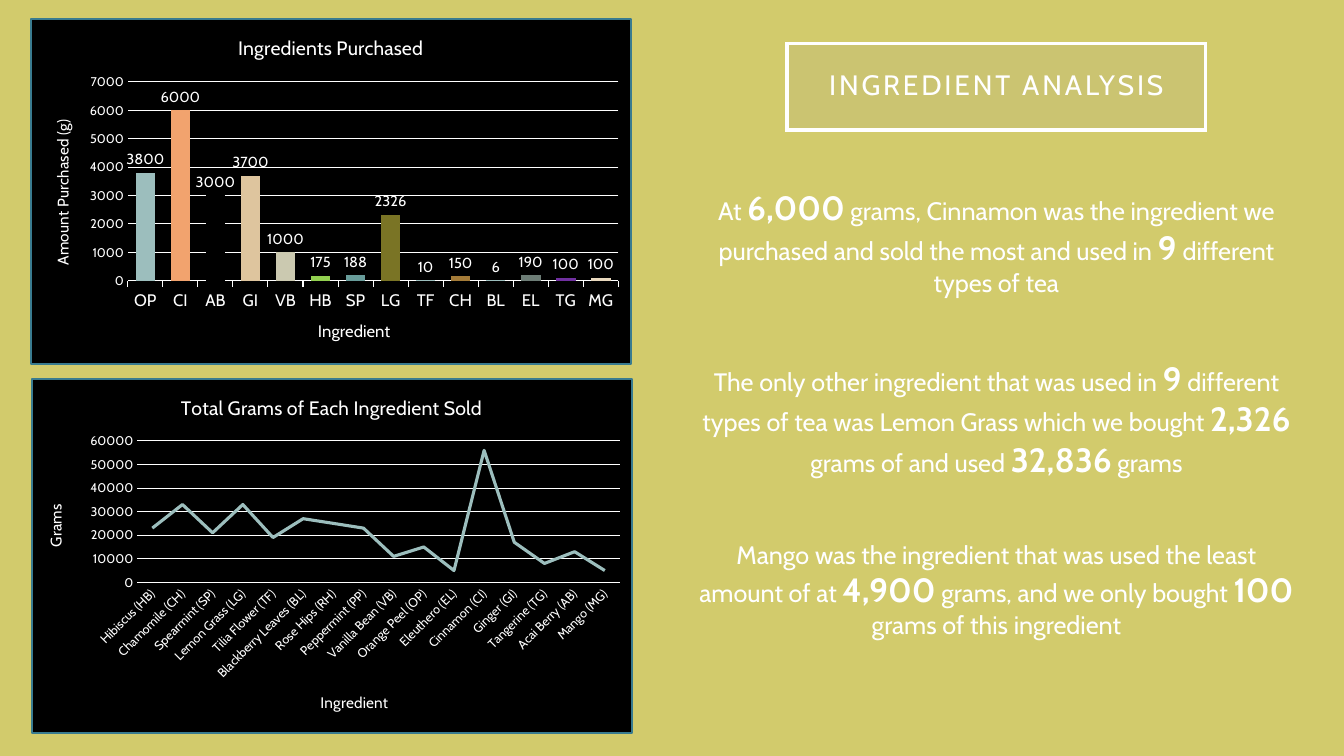
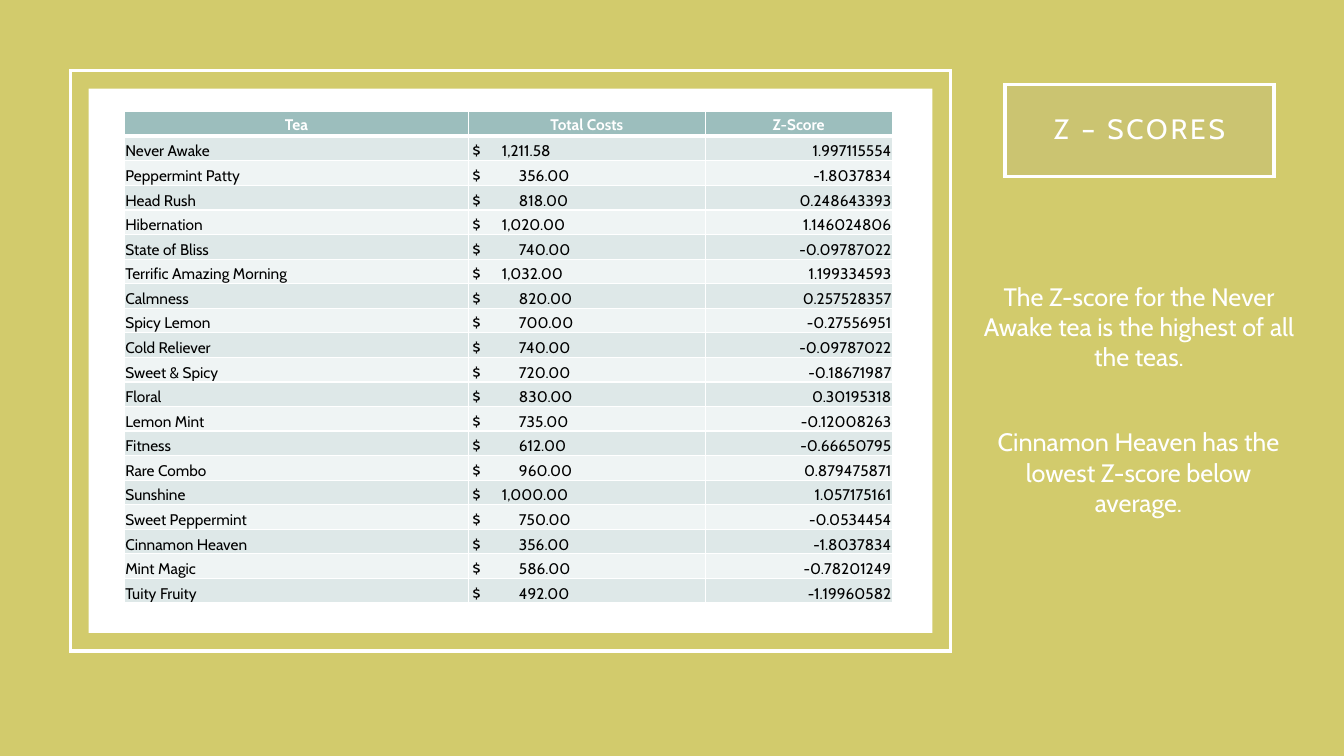
from typing import NamedTuple

from pptx import Presentation
from pptx.chart.data import CategoryChartData
from pptx.dml.color import RGBColor
from pptx.enum.chart import XL_CHART_TYPE as ChartType, XL_LABEL_POSITION as LabelPos, XL_TICK_MARK as Tick
from pptx.enum.shapes import MSO_SHAPE as Preset
from pptx.enum.text import MSO_ANCHOR as Anchor, MSO_AUTO_SIZE as AutoSize, PP_ALIGN as Align
from pptx.oxml import parse_xml
from pptx.oxml.ns import nsdecls, qn
from pptx.util import Emu, Inches, Pt

FONT = "Cabin"
WHITE = RGBColor(0xFF, 0xFF, 0xFF)
BLACK = RGBColor(0x00, 0x00, 0x00)
OLIVE = RGBColor(0xD2, 0xCB, 0x6C)
STONE = RGBColor(0xA7, 0xA0, 0x8E)
TEAL = RGBColor(0x9C, 0xBE, 0xBD)
CHART_EDGE = RGBColor(0x39, 0x7B, 0x8F)
BANDS = (RGBColor(0xDE, 0xE8, 0xE8), RGBColor(0xEF, 0xF4, 0xF4))
BAR_COLOURS = {
    1: RGBColor(0xF2, 0xA3, 0x6E), 2: BLACK, 3: RGBColor(0xDE, 0xC5, 0x9E),
    4: RGBColor(0xCB, 0xC9, 0xB0), 5: RGBColor(0x92, 0xD0, 0x50), 6: RGBColor(0x68, 0x9C, 0x9A),
    7: RGBColor(0x7A, 0x74, 0x25), 9: RGBColor(0xA4, 0x7B, 0x38), 11: RGBColor(0x6D, 0x7D, 0x76),
    12: RGBColor(0x70, 0x30, 0xA0), 13: RGBColor(0xE9, 0xD9, 0xBE),
}
SLIDE_W, SLIDE_H = Inches(13.33), Inches(7.5)
COLUMNS, ROWS = 160, 90
CHART_GRID = 1000

PURCHASED = {
    "OP": 3800, "CI": 6000, "AB": 3000, "GI": 3700, "VB": 1000, "HB": 175, "SP": 188,
    "LG": 2326, "TF": 10, "CH": 150, "BL": 6, "EL": 190, "TG": 100, "MG": 100,
}
SOLD = {
    "Hibiscus (HB)": 23000, "Chamomile (CH)": 33000, "Spearmint (SP)": 21000,
    "Lemon Grass (LG)": 33000, "Tilia Flower (TF)": 19000, "Blackberry Leaves (BL)": 27000,
    "Rose Hips (RH)": 25000, "Peppermint (PP)": 23000, "Vanilla Bean (VB)": 11000,
    "Orange Peel (OP)": 15000, "Eleuthero (EL)": 5000, "Cinnamon (CI)": 56000,
    "Ginger (GI)": 17000, "Tangerine (TG)": 8000, "Acai Berry (AB)": 13000, "Mango (MG)": 5000,
}
FINDINGS = (
    "At *6,000* grams, Cinnamon was the ingredient we purchased and sold the most"
    " and used in *9* different types of tea",
    "The only other ingredient that was used in *9* different types of tea was Lemon Grass"
    " which we bought *2,326* grams of and used *32,836* grams",
    "Mango was the ingredient that was used the least amount of at *4,900* grams,"
    " and we only bought *100* grams of this ingredient",
)
HEADINGS = ("Tea", "Total Costs", "Z-Score")
TEAS = (
    ("Never Awake", "1,211.58", "1.997115554"),
    ("Peppermint Patty", "356.00", "-1.8037834"),
    ("Head Rush", "818.00", "0.248643393"),
    ("Hibernation", "1,020.00", "1.146024806"),
    ("State of Bliss", "740.00", "-0.09787022"),
    ("Terrific Amazing Morning", "1,032.00", "1.199334593"),
    ("Calmness", "820.00", "0.257528357"),
    ("Spicy Lemon", "700.00", "-0.27556951"),
    ("Cold Reliever", "740.00", "-0.09787022"),
    ("Sweet & Spicy", "720.00", "-0.18671987"),
    ("Floral", "830.00", "0.30195318"),
    ("Lemon Mint", "735.00", "-0.12008263"),
    ("Fitness", "612.00", "-0.66650795"),
    ("Rare Combo", "960.00", "0.879475871"),
    ("Sunshine", "1,000.00", "1.057175161"),
    ("Sweet Peppermint", "750.00", "-0.0534454"),
    ("Cinnamon Heaven", "356.00", "-1.8037834"),
    ("Mint Magic", "586.00", "-0.78201249"),
    ("Tuity Fruity", "492.00", "-1.19960582"),
)


class Box(NamedTuple):
    """A region measured in grid columns and rows."""
    left: float
    top: float
    width: float
    height: float

    def emu(self):
        """Return left, top, width and height as lengths."""
        column, row = SLIDE_W / COLUMNS, SLIDE_H / ROWS
        return (Emu(round(self.left * column)), Emu(round(self.top * row)),
                Emu(round(self.width * column)), Emu(round(self.height * row)))

    def within(self, across, down, width, height):
        """Return a box placed from this one's top left corner."""
        return Box(self.left + across, self.top + down, width, height)


def style_font(font, size, colour=WHITE, bold=False):
    """Apply the deck's typeface."""
    font.name, font.size, font.bold = FONT, Pt(size), bold
    font.color.rgb = colour


def outline(line, colour, width):
    """Draw a solid line of the given width in points."""
    line.color.rgb, line.width = colour, Pt(width)


def frame_in_white(shape):
    """Give a shape a white outline with square corners."""
    outline(shape.line, WHITE, 2.5)
    shape.line._get_or_add_ln().append(parse_xml(f'<a:miter {nsdecls("a")} lim="800000"/>'))


def add_titled_slide(deck, text, box, side_inset):
    """Add a slide with its framed, spaced-out title."""
    slide = deck.slides.add_slide(deck.slide_layouts[5])
    title = slide.shapes.title
    title.left, title.top, title.width, title.height = box.emu()
    title.fill.solid()
    title.fill.fore_color.rgb = STONE
    tint = title.fill._xPr.find(qn("a:solidFill"))[0]
    tint.append(parse_xml(f'<a:alpha {nsdecls("a")} val="15000"/>'))
    frame_in_white(title)
    frame = title.text_frame
    frame.text = text
    frame.word_wrap, frame.auto_size = True, AutoSize.NONE
    frame.vertical_anchor = Anchor.MIDDLE
    frame.margin_left = frame.margin_right = Inches(side_inset)
    frame.margin_top = frame.margin_bottom = Inches(0.2)
    line = frame.paragraphs[0]
    line.alignment, line.line_spacing = Align.CENTER, 0.9
    style_font(line.runs[0].font, 20)
    line.runs[0].font._element.set("spc", "200")
    return slide


def add_commentary(slide, box, statements):
    """Add centred statements, with figures between asterisks enlarged."""
    frame = slide.shapes.add_textbox(*box.emu()).text_frame
    frame.word_wrap, frame.auto_size = True, AutoSize.SHAPE_TO_FIT_TEXT
    for index, statement in enumerate(statements):
        paragraph = frame.add_paragraph() if index else frame.paragraphs[0]
        paragraph.alignment = Align.CENTER
        if index:
            paragraph.space_before = Pt(43)
        for part, words in enumerate(statement.split("*")):
            run = paragraph.add_run()
            run.text = words
            is_figure = part % 2 == 1
            style_font(run.font, 24 if is_figure else 18, bold=is_figure)


def set_layout(parent, inner=False, **cells):
    """Fix a chart part on the chart's own grid."""
    for automatic in parent.findall(qn("c:layout")):
        parent.remove(automatic)
    target = '<c:layoutTarget val="inner"/>' if inner else ""
    places = "".join(f'<c:{key} val="{cell / CHART_GRID}"/>' for key, cell in cells.items())
    layout = parse_xml(
        f'<c:layout {nsdecls("c")}><c:manualLayout>{target}<c:xMode val="edge"/>'
        f'<c:yMode val="edge"/>{places}</c:manualLayout></c:layout>')
    parent.insert(0 if parent.find(qn("c:tx")) is None else 1, layout)


def write_chart_title(title, text, size, x, y, turned=False):
    """Write and place a chart title or axis title."""
    title.text_frame.text = text
    style_font(title.text_frame.paragraphs[0].runs[0].font, size)
    if turned:
        body = title.element.xpath(".//a:bodyPr")[0]
        body.set("rot", "-5400000")
        body.set("vert", "horz")
    set_layout(title.element, x=x, y=y)


def add_dark_chart(slide, box, kind, amounts, top, step, category_size, plot_area):
    """Add a black chart with white axes and gridlines."""
    data = CategoryChartData()
    data.categories = list(amounts)
    data.add_series("Series 1", list(amounts.values()))
    chart = slide.shapes.add_chart(kind, *box.emu(), data).chart
    style_font(chart.font, 10)
    chart.has_legend = False
    space = chart.element
    if space.find(qn("c:roundedCorners")) is None:
        space.find(qn("c:date1904")).addnext(
            parse_xml(f'<c:roundedCorners {nsdecls("c")} val="0"/>'))
    space.find(qn("c:chart")).addnext(parse_xml(
        f'<c:spPr {nsdecls("c", "a")}><a:solidFill><a:srgbClr val="{BLACK}"/></a:solidFill>'
        f'<a:ln w="{Pt(1.5)}"><a:solidFill><a:srgbClr val="{CHART_EDGE}"/></a:solidFill></a:ln></c:spPr>'))
    x, y, w, h = plot_area
    set_layout(space.xpath("c:chart/c:plotArea")[0], inner=True, x=x, y=y, w=w, h=h)
    names, scale = chart.category_axis, chart.value_axis
    style_font(names.tick_labels.font, category_size)
    style_font(scale.tick_labels.font, 9)
    outline(names.format.line, WHITE, 0.75)
    scale.format.line.fill.background()
    scale.has_major_gridlines = True
    outline(scale.major_gridlines.format.line, WHITE, 0.75)
    scale.minimum_scale, scale.maximum_scale, scale.major_unit = 0, top, step
    names.major_tick_mark = scale.major_tick_mark = Tick.NONE
    return chart


def add_purchases_chart(slide, box):
    """Add the column chart of ingredients purchased."""
    chart = add_dark_chart(slide, box, ChartType.COLUMN_CLUSTERED, PURCHASED,
                           7000, 1000, 12, (161, 182, 818, 577))
    chart.category_axis.major_tick_mark = Tick.OUTSIDE
    write_chart_title(chart.chart_title, "Ingredients Purchased", 14, 339, 35)
    write_chart_title(chart.category_axis.axis_title, "Ingredient", 12, 473, 865)
    write_chart_title(chart.value_axis.axis_title, "Amount Purchased (g)", 11, 30, 284, True)
    columns = chart.plots[0]
    columns.gap_width, columns.overlap, columns.vary_by_categories = 79, -27, False
    purchases = columns.series[0]
    purchases.format.fill.solid()
    purchases.format.fill.fore_color.rgb = TEAL
    for index, colour in BAR_COLOURS.items():
        fill = purchases.points[index].format.fill
        fill.solid()
        fill.fore_color.rgb = colour
    labels = purchases.data_labels
    labels.show_value, labels.position = True, LabelPos.OUTSIDE_END
    style_font(labels.font, 10.5)


def add_sales_chart(slide, box):
    """Add the line chart of grams sold."""
    chart = add_dark_chart(slide, box, ChartType.LINE, SOLD,
                           60000, 10000, 9, (175, 175, 805, 400))
    write_chart_title(chart.chart_title, "Total Grams of Each Ingredient Sold", 14, 242, 34)
    write_chart_title(chart.category_axis.axis_title, "Ingredient", 11, 476, 876)
    write_chart_title(chart.value_axis.axis_title, "Grams", 11, 17, 345, True)
    chart.element.xpath("c:chart/c:plotArea/c:catAx/c:txPr/a:bodyPr")[0].set("rot", "-2700000")
    chart.plots[0].vary_by_categories = False
    sales = chart.plots[0].series[0]
    sales.smooth = False
    outline(sales.format.line, TEAL, 2.25)


def add_panel(slide, box):
    """Add a white panel inside a white frame."""
    frame = slide.shapes.add_shape(Preset.RECTANGLE, *box.emu())
    inner = box.within(2.16, 2.16, box.width - 4.32, box.height - 4.32)
    panel = slide.shapes.add_shape(Preset.RECTANGLE, *inner.emu())
    frame.shadow.inherit = panel.shadow.inherit = False
    frame.fill.background()
    frame_in_white(frame)
    panel.fill.solid()
    panel.fill.fore_color.rgb = WHITE
    panel.line.fill.background()


def fill_cell(cell, text, colour, fill, alignment, anchor, bottom_line):
    """Write one table cell with its fill and white borders."""
    cell.fill.solid()
    cell.fill.fore_color.rgb = fill
    cell.margin_left = cell.margin_top = cell.margin_right = Inches(0.01)
    cell.margin_bottom = 0
    cell.vertical_anchor = anchor
    widths = {"lnL": 1, "lnR": 1, "lnT": 1, "lnB": bottom_line}
    for index, (side, width) in enumerate(widths.items()):
        cell._tc.get_or_add_tcPr().insert(index, parse_xml(
            f'<a:{side} {nsdecls("a")} w="{Pt(width)}"><a:solidFill>'
            f'<a:srgbClr val="{WHITE}"/></a:solidFill></a:{side}>'))
    paragraph = cell.text_frame.paragraphs[0]
    paragraph.text, paragraph.alignment = text, alignment
    style_font(paragraph.runs[0].font, 11, colour, bold=colour == WHITE)


def add_score_table(slide, box):
    """Add the table of costs and scores, one row for each tea."""
    left, top, width, height = box.emu()
    table = slide.shapes.add_table(len(TEAS) + 1, len(HEADINGS), left, top, width, height).table
    parts = (3.42, 2.35, 1.86)
    for column, part in zip(table.columns, parts):
        column.width = Emu(round(width * part / sum(parts)))
    for row in table.rows:
        row.height = Emu(height // len(table.rows))
    for column, heading in enumerate(HEADINGS):
        fill_cell(table.cell(0, column), heading, WHITE, TEAL, Align.CENTER, Anchor.MIDDLE, 3)
    for row, (tea, cost, score) in enumerate(TEAS, 1):
        alignments = (Align.LEFT, Align.LEFT, Align.RIGHT)
        for column, text in enumerate((tea, f"$\t{cost}", score)):
            fill_cell(table.cell(row, column), text, BLACK, BANDS[(row - 1) % 2],
                      alignments[column], Anchor.BOTTOM, 1)
        cost_cell = table.cell(row, 1)
        cost_cell.margin_left = Inches(0.04)
        stop = Inches(0.29 if "," in cost else 0.46)
        cost_cell.text_frame.paragraphs[0]._p.get_or_add_pPr().append(parse_xml(
            f'<a:tabLst {nsdecls("a")}><a:tab pos="{stop}" algn="l"/></a:tabLst>'))


def build_ingredient_slide(deck):
    """Build the slide with two charts and the findings."""
    slide = add_titled_slide(deck, "INGREDIENT ANALYSIS", Box(93.72, 5.16, 49.8, 10.32), 0.3)
    add_purchases_chart(slide, Box(3.6, 2.16, 71.64, 41.28))
    add_sales_chart(slide, Box(3.72, 45, 71.64, 42.36))
    add_commentary(slide, Box(81.36, 21.66, 74.52, 55.68), FINDINGS)


def build_score_slide(deck):
    """Build the slide with the score table and its remarks."""
    slide = add_titled_slide(deck, "Z – SCORES", Box(119.64, 10.08, 32.04, 10.92), 0.2)
    frame = Box(8.4, 8.4, 104.76, 69.12)
    add_panel(slide, frame)
    add_score_table(slide, frame.within(6.4, 4.9, 91.44, 58.5))
    add_commentary(slide, Box(115.56, 32.88, 40.08, 12.12),
                   ["The Z-score for the Never Awake tea is the highest of all the teas."])
    add_commentary(slide, Box(117.36, 50.2, 36.36, 12.12),
                   ["Cinnamon Heaven has the lowest Z-score below average."])


def main():
    """Build and save the deck."""
    deck = Presentation()
    deck.slide_width, deck.slide_height = SLIDE_W, SLIDE_H
    backdrop = deck.slide_master.background.fill
    backdrop.solid()
    backdrop.fore_color.rgb = OLIVE
    build_ingredient_slide(deck)
    build_score_slide(deck)
    deck.save("out.pptx")


if __name__ == "__main__":
    main()
